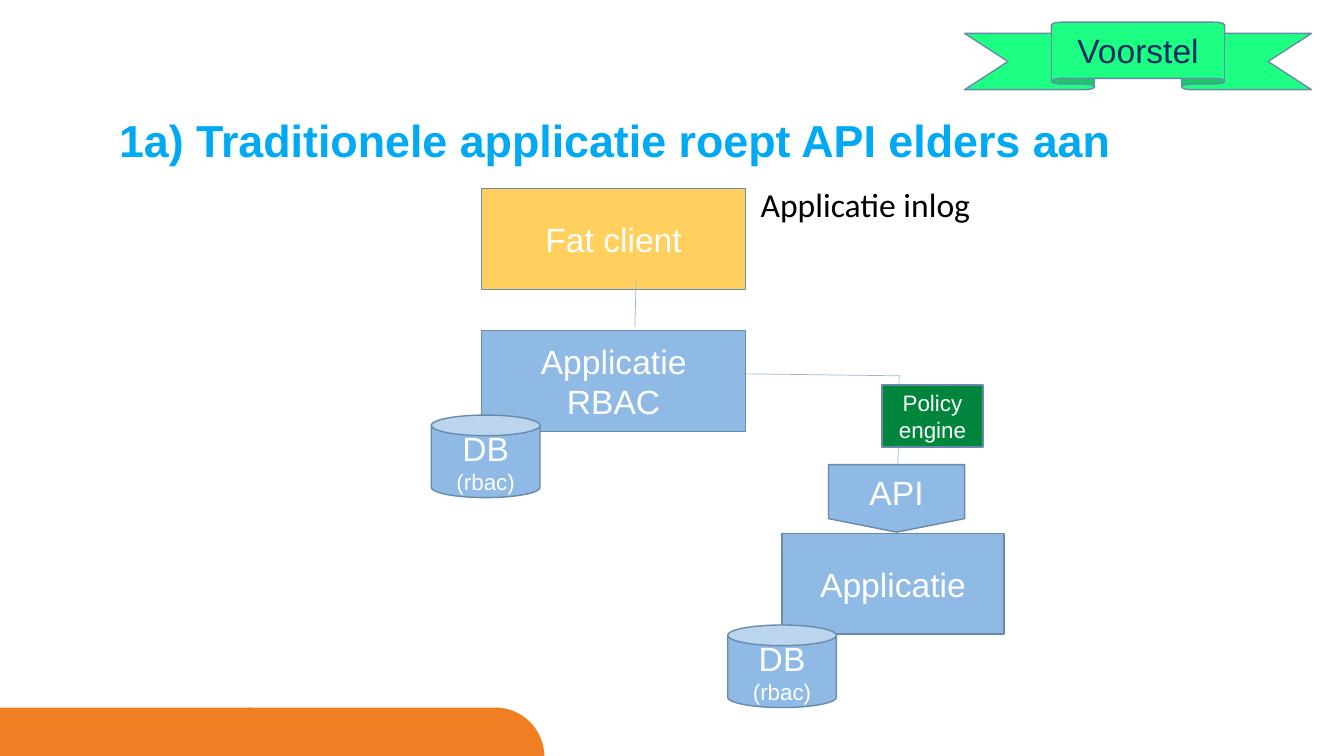
"""Slide: a traditional application calls an API elsewhere."""
import math

import pptx
import pptx.dml.color
import pptx.enum.shapes
import pptx.enum.text
import pptx.oxml
import pptx.oxml.ns
import pptx.util

Cm = pptx.util.Cm
Pt = pptx.util.Pt
KIND = pptx.enum.shapes.MSO_SHAPE
ALIGN = pptx.enum.text.PP_ALIGN
ANCHOR = pptx.enum.text.MSO_ANCHOR

BLUE, YELLOW, GREEN, MINT = "8EBAE5", "FFD05D", "00853C", "1DFF83"
OUTLINE, ORANGE, WHITE, NAVY = "698AA9", "F07E23", "FFFFFF", "002C64"

TITLE = ("1a) Traditionele applicatie roept API elders aan", 32, "00A9F3")
LOGIN = ("Applicatie inlog", 24, "000000")
DATABASE = [("DB", 24, WHITE), ("(rbac)", 16, WHITE)]

BACK_SHAPES = [
    (KIND.RECTANGLE, (12.14, 8.33, 6.65, 2.54), BLUE,
     [("Applicatie", 24, WHITE), ("RBAC", 24, WHITE)]),
    (KIND.FLOWCHART_OFFPAGE_CONNECTOR, (20.88, 11.71, 3.43, 1.7), BLUE,
     [("API", 24, WHITE)]),
    (KIND.RECTANGLE, (19.71, 13.44, 5.59, 2.54), BLUE, [("Applicatie", 24, WHITE)]),
    (KIND.RECTANGLE, (12.14, 4.75, 6.65, 2.54), YELLOW, [("Fat client", 24, WHITE)]),
]
LINKS = [
    (18.8, 9.42, 22.68, 9.47),
    (22.63, 11.71, 22.66, 9.47),
    (16, 8.23, 16.03, 7.09),
]
FRONT_SHAPES = [
    (KIND.CAN, (10.87, 10.46, 2.74, 2.08), BLUE, DATABASE),
    (KIND.CAN, (18.34, 15.75, 2.74, 2.08), BLUE, DATABASE),
    (KIND.RECTANGLE, (22.23, 9.7, 2.54, 1.57), GREEN,
     [("Policy", 16, WHITE), ("engine", 16, WHITE)]),
    (KIND.UP_RIBBON, (24.31, 0.56, 8.74, 1.7), MINT, [("Voorstel", 24, NAVY)]),
]
FOOTER_LEFTS = (-0.03, 6.25)
FOOTER_TOP, FOOTER_WIDTH, FOOTER_HEIGHT = 17.83, 7.47, 1.24
CORNER_STEPS = 16


def paint(color_owner, color):
    color_owner.rgb = pptx.dml.color.RGBColor.from_string(color)


def fill_shape(shape, color):
    shape.shadow.inherit = False
    shape.fill.solid()
    paint(shape.fill.fore_color, color)


def write(frame, lines, align, font="Arial", bold=False):
    frame.word_wrap = True
    for index, (words, size, color) in enumerate(lines):
        paragraph = frame.add_paragraph() if index else frame.paragraphs[0]
        paragraph.alignment = align
        run = paragraph.add_run()
        run.text = words
        run.font.name = font
        run.font.size = Pt(size)
        run.font.bold = bold
        paint(run.font.color, color)


def add_footer(slide, left):
    right, bottom = left + FOOTER_WIDTH, FOOTER_TOP + FOOTER_HEIGHT
    corner = []
    for step in range(CORNER_STEPS + 1):
        angle = math.pi / 2 * step / CORNER_STEPS
        corner.append((Cm(right - FOOTER_HEIGHT * (1 - math.sin(angle))),
                       Cm(bottom - FOOTER_HEIGHT * math.cos(angle))))
    builder = slide.shapes.build_freeform(Cm(left), Cm(bottom))
    builder.add_line_segments([(Cm(left), Cm(FOOTER_TOP))] + corner, close=True)
    footer = builder.convert_to_shape()
    fill_shape(footer, ORANGE)
    footer.line.fill.background()


def add_block(slide, kind, place, color, lines):
    block = slide.shapes.add_shape(kind, *map(Cm, place))
    fill_shape(block, color)
    paint(block.line.color, OUTLINE)
    block.line.width = Pt(1)
    block.text_frame.vertical_anchor = ANCHOR.MIDDLE
    write(block.text_frame, lines, ALIGN.CENTER)


def add_link(slide, ends):
    straight = pptx.enum.shapes.MSO_CONNECTOR.STRAIGHT
    link = slide.shapes.add_connector(straight, *map(Cm, ends))
    paint(link.line.color, BLUE)
    link.line.width = Pt(0.5)
    properties = link._element.spPr
    properties.append(pptx.oxml.parse_xml(
        "<a:effectLst %s/>" % pptx.oxml.ns.nsdecls("a")))


def main():
    deck = pptx.Presentation()
    deck.slide_width, deck.slide_height = Cm(33.87), Cm(19.05)
    slide = deck.slides.add_slide(deck.slide_layouts[6])

    for left in FOOTER_LEFTS:
        add_footer(slide, left)

    title = slide.shapes.add_textbox(Cm(3), Cm(3), Cm(27.86), Cm(2)).text_frame
    title.margin_left = title.margin_right = title.margin_top = title.margin_bottom = 0
    write(title, [TITLE], ALIGN.LEFT, bold=True)
    title.paragraphs[0].line_spacing = 0.9

    for block in BACK_SHAPES:
        add_block(slide, *block)
    for ends in LINKS:
        add_link(slide, ends)
    login = slide.shapes.add_textbox(Cm(18.92), Cm(4.5), Cm(6.3), Cm(1.3))
    write(login.text_frame, [LOGIN], ALIGN.LEFT, font="Calibri")
    for block in FRONT_SHAPES:
        add_block(slide, *block)

    deck.save("out.pptx")


if __name__ == "__main__":
    main()
